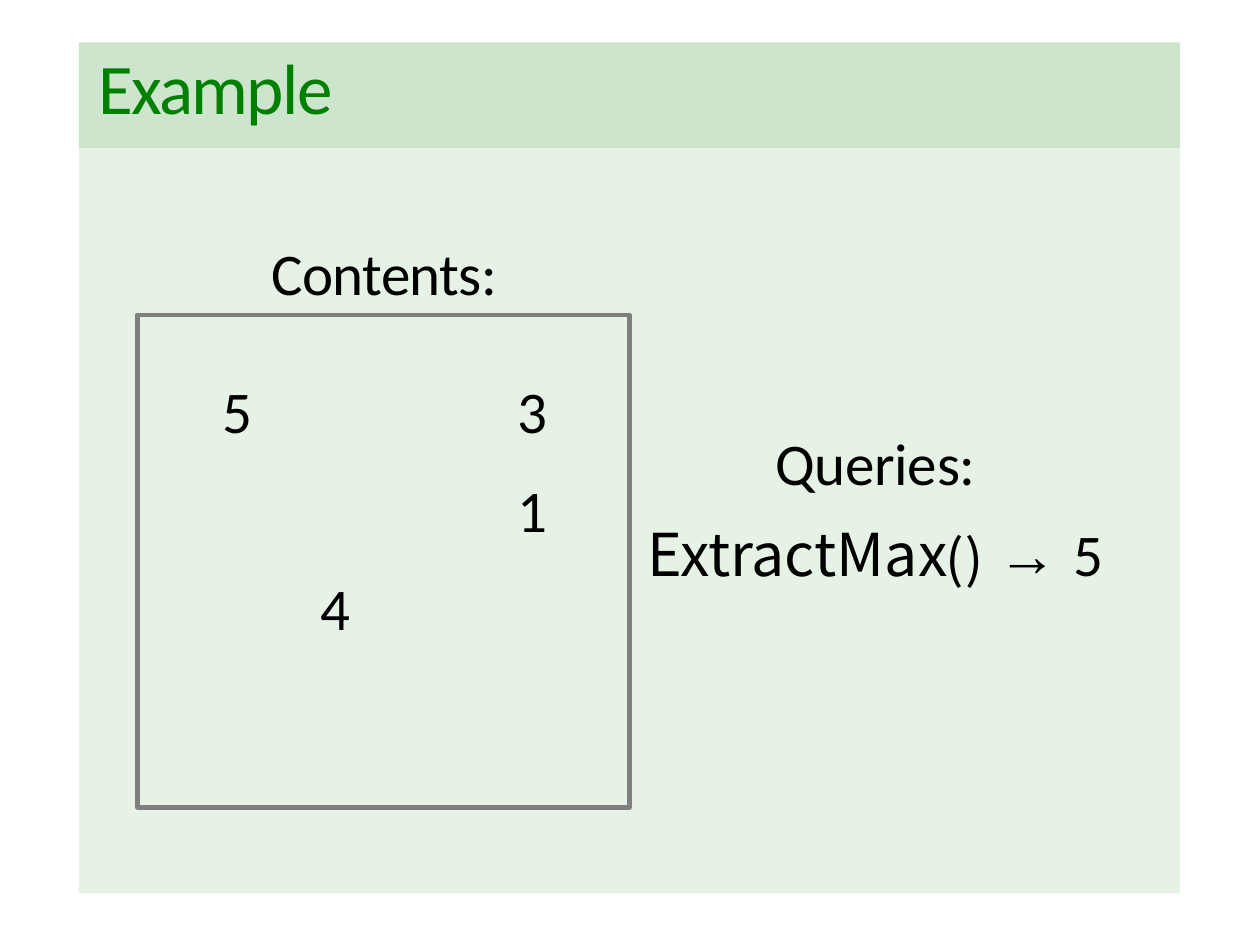
from pptx import Presentation
from pptx.util import Pt
from pptx.dml.color import RGBColor as Rgb
from pptx.enum.shapes import MSO_SHAPE as Kind
from pptx.enum.text import PP_ALIGN as Align, MSO_ANCHOR as Anchor, MSO_AUTO_SIZE as Auto

HUES = {"band": "CCE5CC", "panel": "E5F2E5", "title": "007F00",
        "frame": "7F7F7F", "text": "000000"}
BODY = "Calibri"
TITLE = [[("Example", BODY, -50)]]
LABEL = [[("Contents:", BODY, -20)]]
QUERY = [
    [("Queries:", BODY, -10)],
    [("ExtractMax", "Noto Sans CJK TC", 0), ("() ", "League Spartan", 0),
     ("→ ", "Arial", 0), ("5", BODY, -60)],
]
ITEMS = [(0, 0, "5"), (1, 2, "4"), (3, 0, "31")]

LEFT, TOP, WIDE = 22.75, 12.25, 317.25
BAND, PANEL = 30.4, 214.6
STEP = 28.35
BOX = 39.6, 90.75, 5 * STEP, 5 * STEP


def hue(name):
    return Rgb.from_string(HUES[name])


def draw(spot, fill=None, line=None):
    part = slide.shapes.add_shape(Kind.RECTANGLE, *map(Pt, spot))
    part.shadow.inherit = False
    for ink, name in ((part.fill, fill), (part.line.fill, line)):
        if name:
            ink.solid()
            ink.fore_color.rgb = hue(name)
        else:
            ink.background()
    if line:
        part.line.width = Pt(1.42)


def write(part, paras, inset, gap=0, size=17, tint="text", align=Align.LEFT):
    frame = part.text_frame
    look = {"word_wrap": True, "auto_size": Auto.NONE,
            "vertical_anchor": Anchor.TOP, "margin_left": 0,
            "margin_right": 0, "margin_bottom": 0, "margin_top": Pt(inset)}
    for key, val in look.items():
        setattr(frame, key, val)
    for num, runs in enumerate(paras):
        para = frame.add_paragraph() if num else frame.paragraphs[0]
        para.alignment = align
        para.space_before = Pt(gap if num else 0)
        for text, face, track in runs:
            run = para.add_run()
            run.text = text
            form = {"name": face, "size": Pt(size), "italic": face == "Arial"}
            for key, val in form.items():
                setattr(run.font, key, val)
            run.font.color.rgb = hue(tint)
            run.font._element.set("spc", str(track))


def label(spot, paras, inset=1.2, **form):
    write(slide.shapes.add_textbox(*map(Pt, spot)), paras, inset, **form)


deck = Presentation()
deck.slide_width, deck.slide_height = Pt(363), Pt(272.5)
slide = deck.slides.add_slide(deck.slide_layouts[5])

draw((LEFT, TOP, WIDE, BAND), fill="band")
draw((LEFT, TOP + BAND, WIDE, PANEL), fill="panel")
draw(BOX, line="frame")

head = slide.shapes.title
slide.shapes._spTree.append(head._element)
place = {"left": 28.5, "top": 6, "width": 305, "height": 32}
for key, val in place.items():
    setattr(head, key, Pt(val))
write(head, TITLE, 6.5, size=20.5, tint="title")

label((78.25, 67, 67, 23), LABEL)
for col, row, digits in ITEMS:
    spot = (64 + col * STEP, 106.75 + row * STEP, 9.5, 23 + STEP * (len(digits) - 1))
    label(spot, [[(digit, BODY, -60)] for digit in digits], gap=8)
label((184.25, 116, 136, 55), QUERY, inset=6.8, gap=5.8, align=Align.CENTER)

deck.save("out.pptx")
